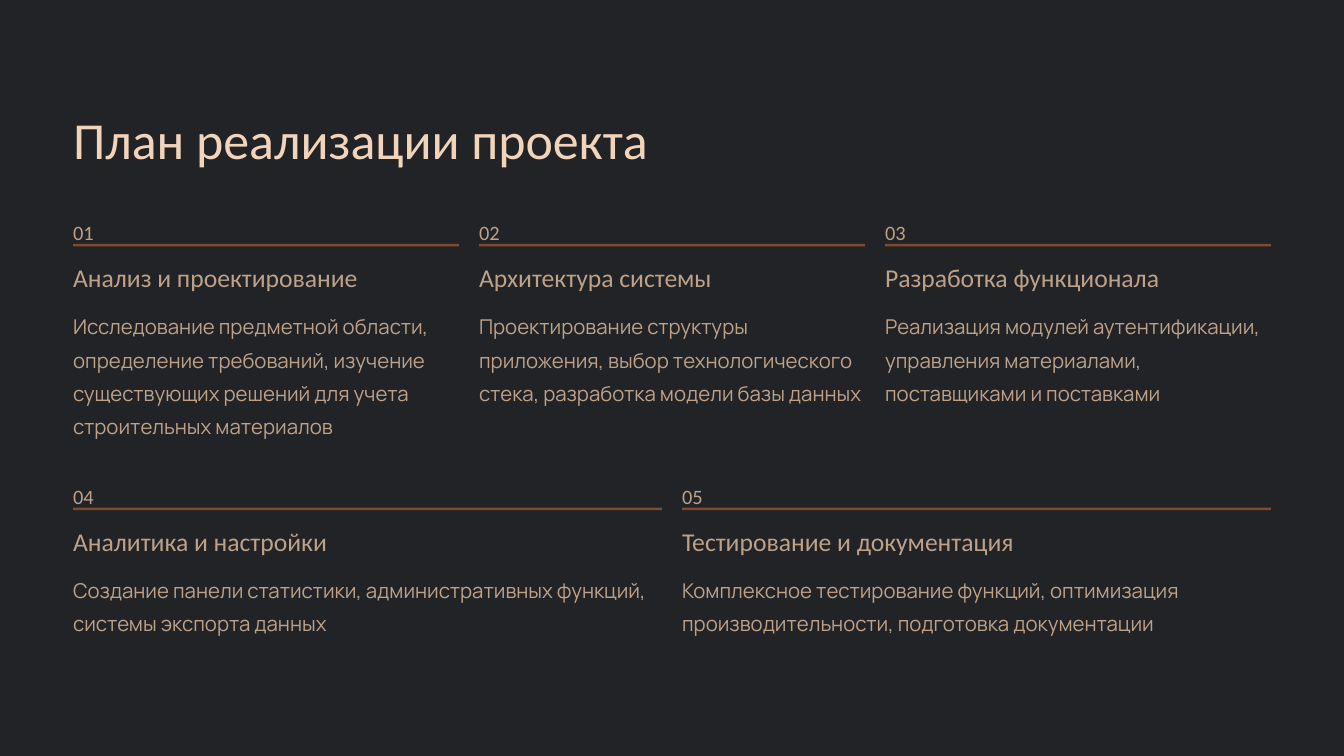
from dataclasses import dataclass

from pptx import Presentation
from pptx.dml.color import RGBColor
from pptx.enum.shapes import MSO_SHAPE as Preset
from pptx.enum.text import MSO_ANCHOR as Anchor, MSO_AUTO_SIZE as AutoSize, PP_ALIGN as Align
from pptx.util import Inches, Pt


@dataclass(frozen=True)
class Theme:
    background: str = "212326"
    title: str = "F2D4BA"
    text: str = "BDA189"
    rule: str = "84482D"
    heading_font: str = "Calibri"
    body_font: str = "Manrope"
    title_size: float = 44.5
    heading_size: float = 22
    body_size: float = 17.5
    title_leading: float = 55.5
    heading_leading: float = 27.5
    body_leading: float = 28.5


THEME = Theme()
WIDTH, HEIGHT = 16, 9
MARGIN, GAP = 0.87, 0.24
CONTENT_WIDTH = WIDTH - 2 * MARGIN

# Each row: top, height of its descriptions, stages (heading, description)
ROWS = [
    (2.52, 1.59, [
        ("Анализ и проектирование",
         "Исследование предметной области, определение требований, "
         "изучение существующих решений для учета строительных материалов"),
        ("Архитектура системы",
         "Проектирование структуры приложения, выбор технологического стека, "
         "разработка модели базы данных"),
        ("Разработка функционала",
         "Реализация модулей аутентификации, управления материалами, "
         "поставщиками и поставками"),
    ]),
    (5.66, 0.79, [
        ("Аналитика и настройки",
         "Создание панели статистики, административных функций, "
         "системы экспорта данных"),
        ("Тестирование и документация",
         "Комплексное тестирование функций, оптимизация производительности, "
         "подготовка документации"),
    ]),
]


def place(shape, left, top, width, height):
    shape.left, shape.top = Inches(left), Inches(top)
    shape.width, shape.height = Inches(width), Inches(height)


def write(box, text, *, size, leading, font=THEME.heading_font, color=THEME.text):
    frame = box.text_frame
    frame.word_wrap = True
    frame.auto_size = AutoSize.NONE
    frame.vertical_anchor = Anchor.TOP
    frame.margin_left = frame.margin_right = frame.margin_top = frame.margin_bottom = 0
    para = frame.paragraphs[0]
    para.alignment = Align.LEFT
    para.line_spacing = Pt(leading)
    para.space_before = Pt(0)
    span = para.add_run()
    span.text = text
    span.font.name = font
    span.font.size = Pt(size)
    span.font.color.rgb = RGBColor.from_string(color)


def add_text(page, text, left, top, width, height, **style):
    box = page.shapes.add_textbox(0, 0, 0, 0)
    place(box, left, top, width, height)
    write(box, text, **style)


def add_title(page, text, left, top, width, height):
    title = page.shapes.title
    place(title, left, top, width, height)
    write(title, text, size=THEME.title_size, leading=THEME.title_leading, color=THEME.title)


def add_stage(page, number, heading, description, left, top, width, body_height):
    body = dict(size=THEME.body_size, leading=THEME.body_leading)
    # Number above its rule
    add_text(page, f"{number:02}", left, top, width, 0.31, **body)
    rule = page.shapes.add_shape(Preset.RECTANGLE, 0, 0, 0, 0)
    place(rule, left, top + 0.385, width, 0.03)
    rule.shadow.inherit = False
    rule.fill.solid()
    rule.fill.fore_color.rgb = RGBColor.from_string(THEME.rule)
    rule.line.fill.background()
    # Heading and description
    add_text(page, heading, left, top + 0.58, width, 0.39,
             size=THEME.heading_size, leading=THEME.heading_leading)
    add_text(page, description, left, top + 1.12, width, body_height,
             font=THEME.body_font, **body)


def add_plan(page, left, width):
    number = 1
    for top, body_height, stages in ROWS:
        column = (width - GAP * (len(stages) - 1)) / len(stages)
        for index, (heading, description) in enumerate(stages):
            add_stage(page, number, heading, description,
                      left + index * (column + GAP), top, column, body_height)
            number += 1


def main():
    deck = Presentation()
    deck.slide_width, deck.slide_height = Inches(WIDTH), Inches(HEIGHT)
    page = deck.slides.add_slide(deck.slide_layouts.get_by_name("Title Only"))
    page.background.fill.solid()
    page.background.fill.fore_color.rgb = RGBColor.from_string(THEME.background)
    add_title(page, "План реализации проекта", MARGIN, 1.25, CONTENT_WIDTH, 0.78)
    add_plan(page, MARGIN, CONTENT_WIDTH)
    deck.save("out.pptx")


if __name__ == "__main__":
    main()
